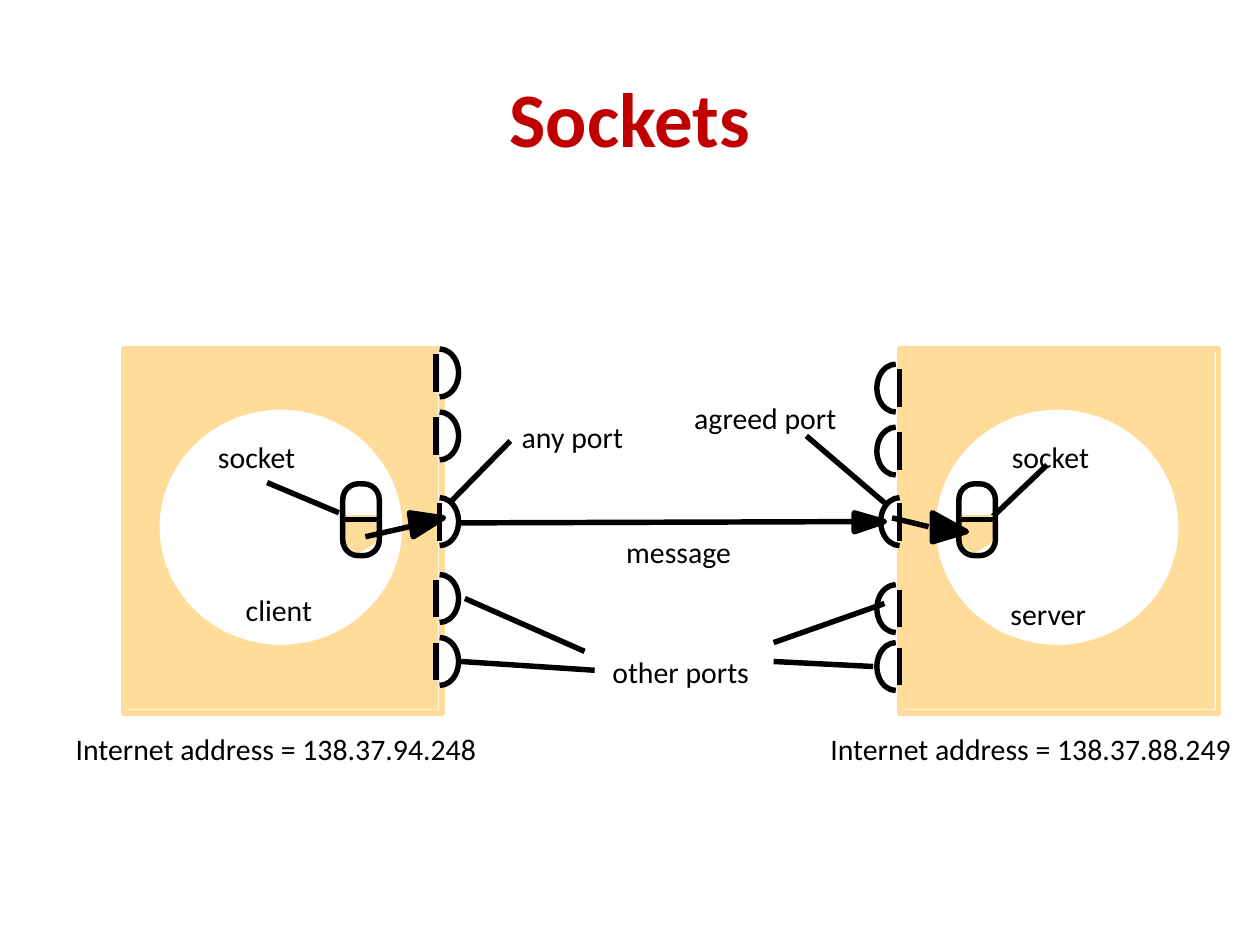
"""Build the Sockets slide: client and server ports joined by a message."""
import pptx
import pptx.util
from pptx.dml.color import RGBColor
from pptx.enum.shapes import MSO_CONNECTOR, MSO_SHAPE
from pptx.enum.text import MSO_ANCHOR, MSO_AUTO_SIZE, PP_ALIGN
from lxml import etree

RED = RGBColor(0xC0, 0x00, 0x00)
SAND = RGBColor(0xFF, 0xDC, 0x99)
WHITE = RGBColor(0xFF, 0xFF, 0xFF)
BLACK = RGBColor(0x00, 0x00, 0x00)
STROKE = pptx.util.Pt(3.13)
A = "http://schemas.openxmlformats.org/drawingml/2006/main"

prs = pptx.Presentation()
prs.slide_width = pptx.util.Inches(10)
prs.slide_height = pptx.util.Inches(7.5)
U = prs.slide_width // 100
s = prs.slides.add_slide(prs.slide_layouts[6])


def paint(sp, fill, line):
    sp.shadow.inherit = False
    if fill is None:
        sp.fill.background()
    else:
        sp.fill.solid()
        sp.fill.fore_color.rgb = fill
    if line is None:
        sp.line.fill.background()
    else:
        sp.line.color.rgb = line
        sp.line.width = STROKE


def add_line(*ends):
    c = s.shapes.add_connector(MSO_CONNECTOR.STRAIGHT, *[int(v * U) for v in ends])
    c.line.color.rgb = BLACK
    c.line.width = STROKE
    etree.SubElement(c._element.spPr, f"{{{A}}}effectLst")
    return c


sp = s.shapes.add_textbox(5 * U, 3 * U, 90 * U, int(12.5 * U))
tf = sp.text_frame
tf.word_wrap = True
tf.vertical_anchor = MSO_ANCHOR.MIDDLE
p = tf.paragraphs[0]
p.text = "Sockets"
p.alignment = PP_ALIGN.CENTER
p.font.name = "Calibri"
p.font.size = pptx.util.Pt(44)
p.font.bold = True
p.font.color.rgb = RED

for left in (9.8, 71.4):
    for kind, dx, y, w, h, fill, line in (
        (MSO_SHAPE.RECTANGLE, 0, 27.7, 25, 28.6, SAND, None),
        (MSO_SHAPE.RECTANGLE, 0, 27.7, 25.3, 28.9, None, SAND),
        (MSO_SHAPE.OVAL, 2.65, 32.3, 19.7, 19.1, WHITE, SAND),
    ):
        box = [int(v * U) for v in (left + dx, y, w, h)]
        paint(s.shapes.add_shape(kind, *box), fill, line)

for ends in ((35.7, 39.9, 40.5, 35), (70.2, 39.9, 64, 34.6),
             (26.9, 40.7, 21.2, 38.3), (78.7, 41.1, 83.1, 36.9)):
    add_line(*ends)

LEFT_ARC, RIGHT_ARC = (54, 162), (162, 54)
for centre, bar, top, half in (
    (34.9, 34.6, 27.7, RIGHT_ARC),
    (34.9, 34.6, 32.7, RIGHT_ARC),
    (34.9, 34.9, 39.5, RIGHT_ARC),
    (34.9, 34.6, 45.6, RIGHT_ARC),
    (34.9, 34.6, 50.6, RIGHT_ARC),
    (71.1, 71.4, 28.9, LEFT_ARC),
    (71.1, 71.4, 33.9, LEFT_ARC),
    (71.4, 71.4, 39.5, LEFT_ARC),
    (71.1, 71.4, 46.4, LEFT_ARC),
    (71.1, 71.4, 51, LEFT_ARC),
):
    box = [int(v * U) for v in (centre - 1.5, top, 3, 3.8)]
    sp = s.shapes.add_shape(MSO_SHAPE.ARC, *box)
    sp.adjustments[0], sp.adjustments[1] = half
    paint(sp, WHITE, BLACK)
    add_line(bar, top + 0.4, bar, top + 3.4)

for ends in ((46.4, 51.7, 36.9, 47.5), (47.2, 53.2, 36.6, 52.5),
             (69.3, 52.9, 61.4, 52.5), (61.4, 51, 70.2, 47.9)):
    add_line(*ends)

for text, x, y, w in (
    ("message", 49.7, 42.4, 9.6),
    ("agreed port", 55.1, 31.7, 12.1),
    ("any port", 41.4, 33.2, 8.5),
    ("socket", 17.3, 34.8, 6.8),
    ("socket", 80.3, 34.8, 6.8),
    ("Internet address = 138.37.94.248", 6, 58, 34.9),
    ("Internet address = 138.37.88.249", 65.9, 58, 34.9),
    ("other ports", 48.6, 51.9, 11.3),
    ("client", 19.5, 47, 5.5),
    ("server", 80.2, 47.3, 6.6),
):
    sp = s.shapes.add_textbox(*[int(v * U) for v in (x, y, w, 3.7)])
    tf = sp.text_frame
    tf.margin_left = tf.margin_right = tf.margin_top = tf.margin_bottom = 0
    tf.word_wrap = False
    tf.auto_size = MSO_AUTO_SIZE.SHAPE_TO_FIT_TEXT
    p = tf.paragraphs[0]
    p.text = text
    p.font.name = "Calibri"
    p.font.size = pptx.util.Pt(17)
    p.font.color.rgb = BLACK

polygons = [
    (SAND, [(x + dx, y) for dx, y in
            ((0, 41.1), (0.3, 43), (1.2, 43.7), (2.4, 43), (2.7, 41.1))])
    for x in (27.2, 76.1)
]
polygons += [
    (BLACK, [(67.8, 40.7), (70.2, 41.4), (67.8, 42.2)]),
    (BLACK, [(32.5, 40.7), (35.2, 41.1), (32.8, 42.6)]),
    (BLACK, [(74, 40.7), (76.7, 42.2), (74, 43)]),
]
for color, points in polygons:
    emu = [(int(x * U), int(y * U)) for x, y in points]
    fb = s.shapes.build_freeform(*emu[0])
    fb.add_line_segments(emu[1:], close=True)
    paint(fb.convert_to_shape(), color, color)

for x in (27.2, 76.1):
    box = [int(v * U) for v in (x, 38.4, 2.9, 5.7)]
    sp = s.shapes.add_shape(MSO_SHAPE.ROUNDED_RECTANGLE, *box)
    sp.adjustments[0] = 0.43
    paint(sp, None, BLACK)
    c = add_line(x, 41.25, x + 2.9, 41.25)
    c.begin_connect(sp, 1)
    c.end_connect(sp, 3)

for ends in ((67.8, 41.4, 36.3, 41.5), (29, 42.6, 32.5, 41.8),
             (73.7, 41.8, 70.8, 41.1)):
    add_line(*ends)

prs.save("out.pptx")
